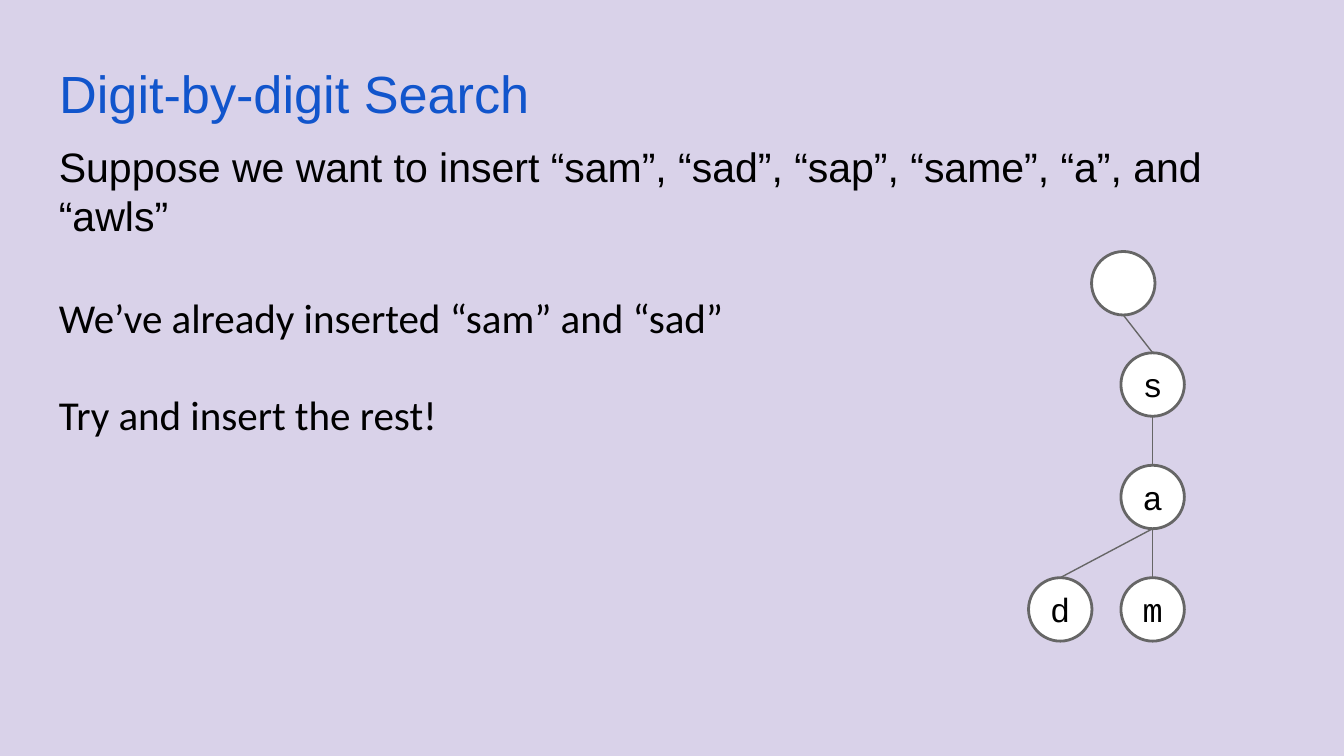
import pptx
import pptx.util
import pptx.dml.color
import pptx.enum.shapes
import pptx.enum.text
import pptx.oxml

Pt = pptx.util.Pt
ALIGN = pptx.enum.text.PP_ALIGN
ANCHOR = pptx.enum.text.MSO_ANCHOR

HUES = {"back": "D9D2E9", "title": "1155CC", "text": "000000",
        "node": "FFFFFF", "line": "666666"}

SIZE = 34   # node diameter
TOP = 189   # top of the "s" node
STEP = 60.25  # drop from one letter to the next

# Name: letter, left, top
NODES = {
    "root": ("", 584.75, 134.75),
    "s": ("s", 600.5, TOP),
    "a": ("a", 600.5, TOP + STEP),
    "m": ("m", 600.5, TOP + 2 * STEP),
    "d": ("d", 551, TOP + 2 * STEP),
}
EDGES = [("root", "s"), ("s", "a"), ("a", "m"), ("a", "d")]

# Words, font, space before
LINES = [
    ("Suppose we want to insert “sam”, “sad”, “sap”, “same”, “a”, and “awls”",
     "Arial", 0),
    ("We’ve already inserted “sam” and “sad”", "Calibri", 28),
    ("Try and insert the rest!", "Calibri", 26),
]


def hue(name):
    return pptx.dml.color.RGBColor.from_string(HUES[name])


def apply(item, form):
    for key, val in form.items():
        setattr(item, key, val)


def frame(shape, anchor, top=7.2):
    """Set the wrapping, margins and anchor of a shape's text."""
    text = shape.text_frame
    apply(text, {"word_wrap": True, "vertical_anchor": anchor,
                 "auto_size": pptx.enum.text.MSO_AUTO_SIZE.NONE,
                 "margin_left": Pt(7.2), "margin_right": Pt(7.2),
                 "margin_top": Pt(top), "margin_bottom": Pt(7.2)})
    return text


def write(para, words, font, size, color="text", **form):
    para.text = words
    apply(para, form)
    apply(para.font, {"name": font, "size": Pt(size)})
    para.font.color.rgb = hue(color)


def add_title(slide):
    title = slide.shapes.title
    apply(title, {"left": Pt(24.5), "top": Pt(23),
                  "width": Pt(671), "height": Pt(45.4)})
    text = frame(title, ANCHOR.TOP, 9.7)
    write(text.paragraphs[0], "Digit-by-digit Search", "Arial", 28, "title",
          alignment=ALIGN.LEFT)


def add_body(slide):
    box = slide.shapes.add_textbox(Pt(24.5), Pt(67.7), Pt(640), Pt(33.8))
    text = frame(box, ANCHOR.TOP, 8)
    for i, (words, font, gap) in enumerate(LINES):
        para = text.add_paragraph() if i else text.paragraphs[0]
        write(para, words, font, 22, line_spacing=Pt(26.4),
              space_before=Pt(gap))


def add_node(slide, letter, left, top):
    node = slide.shapes.add_shape(pptx.enum.shapes.MSO_SHAPE.OVAL,
                                  Pt(left), Pt(top), Pt(SIZE), Pt(SIZE))
    node.shadow.inherit = False
    node.fill.solid()
    node.fill.fore_color.rgb = hue("node")
    node.line.color.rgb = hue("line")
    node.line.width = Pt(1.5)
    if letter:
        text = frame(node, ANCHOR.MIDDLE)
        text.word_wrap = False
        write(text.paragraphs[0], letter, "Courier New", 18,
              alignment=ALIGN.CENTER)
    return node


def add_edge(slide, upper, lower):
    """Join the bottom of one node to the top of another."""
    edge = slide.shapes.add_connector(
        pptx.enum.shapes.MSO_CONNECTOR.STRAIGHT,
        upper.left + upper.width // 2, upper.top + upper.height,
        lower.left + lower.width // 2, lower.top)
    edge.end_connect(lower, 0)
    edge.line.color.rgb = hue("line")
    edge.line.width = Pt(0.75)
    props = edge._element.spPr
    props.append(pptx.oxml.parse_xml(
        '<a:effectLst xmlns:a='
        '"http://schemas.openxmlformats.org/drawingml/2006/main"/>'))


def main():
    deck = pptx.Presentation()
    apply(deck, {"slide_width": Pt(720), "slide_height": Pt(405)})
    slide = deck.slides.add_slide(deck.slide_layouts[5])
    slide.background.fill.solid()
    slide.background.fill.fore_color.rgb = hue("back")

    # Text
    add_body(slide)
    add_title(slide)

    # Trie
    nodes = {name: add_node(slide, *data) for name, data in NODES.items()}
    for upper, lower in EDGES:
        add_edge(slide, nodes[upper], nodes[lower])

    deck.save("out.pptx")


if __name__ == "__main__":
    main()
